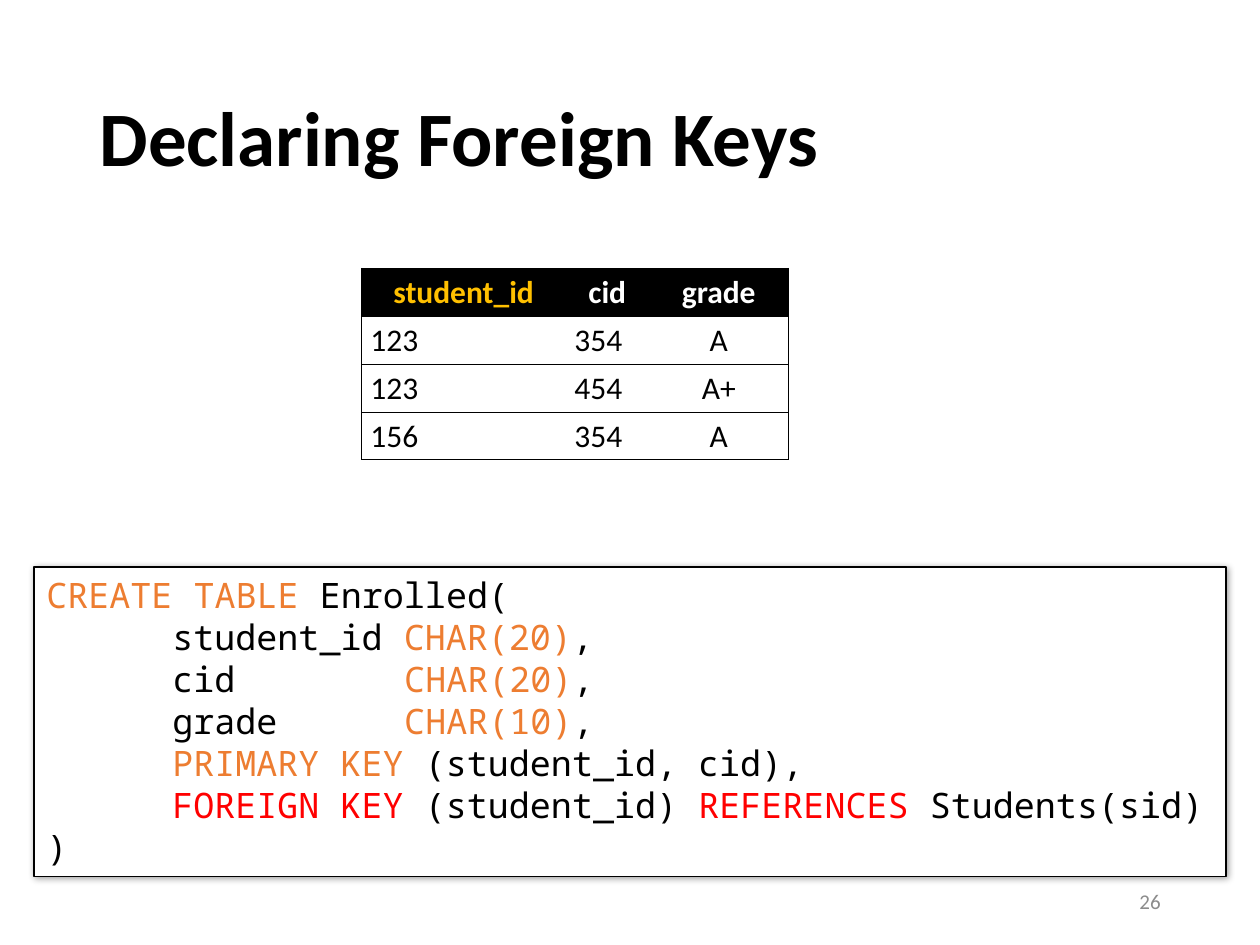
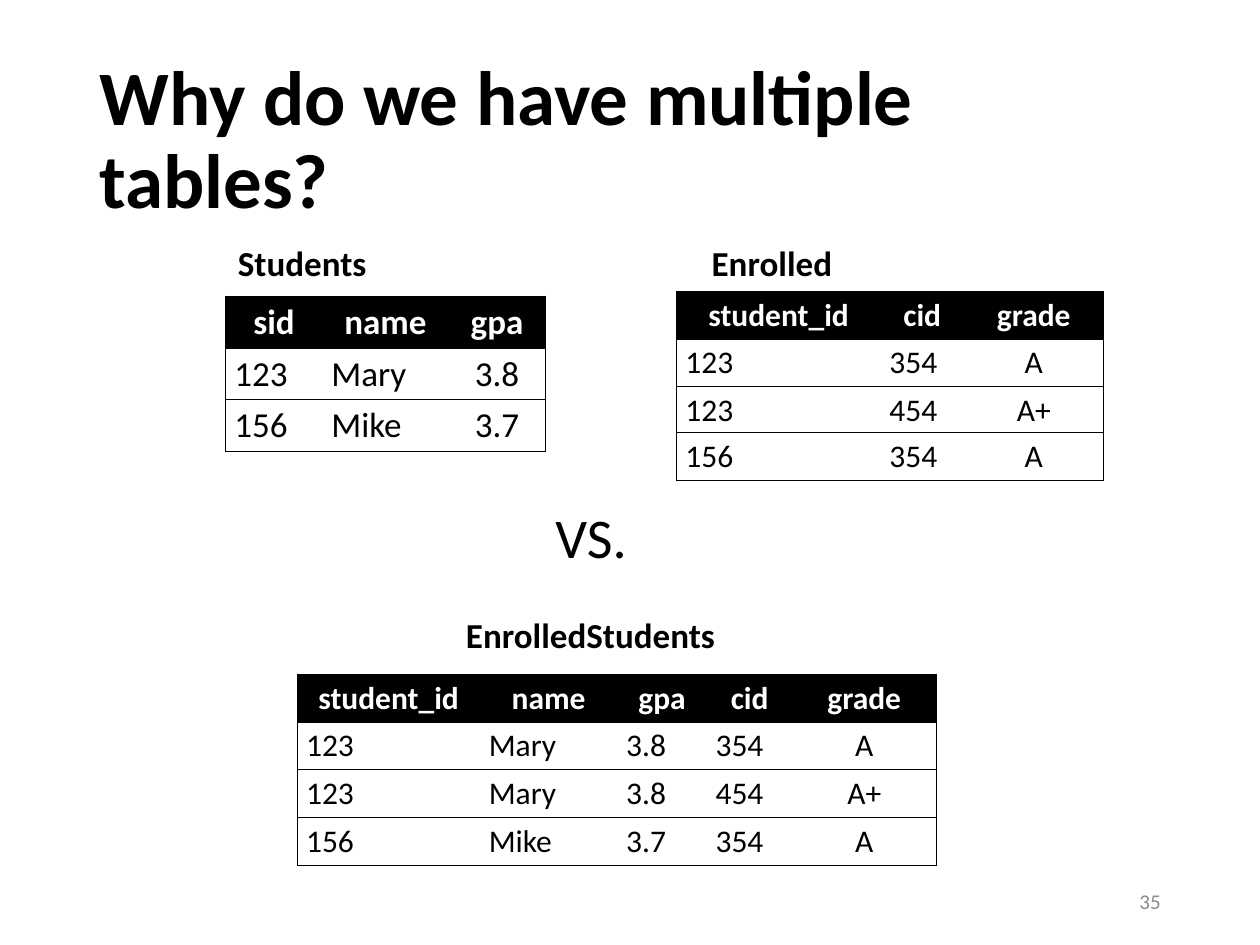
from dataclasses import dataclass

from lxml.etree import SubElement
from pptx import Presentation
from pptx.dml.color import RGBColor
from pptx.enum.shapes import MSO_SHAPE
from pptx.enum.text import MSO_ANCHOR, MSO_AUTO_SIZE, PP_ALIGN
from pptx.oxml import parse_xml
from pptx.oxml.ns import nsdecls, qn
from pptx.util import Inches, Pt


@dataclass(frozen=True)
class Theme:
    black: str = "000000"
    white: str = "FFFFFF"
    gray: str = "8C8C8C"
    gold: str = "FFC000"
    orange: str = "ED7D31"
    red: str = "FF0000"
    font: str = "Calibri"
    mono: str = "Noto Sans Mono"
    title: int = 44
    versus: int = 32
    label: int = 20
    cell: int = 18
    page: int = 12
    rule: float = 0.5


LOOK = Theme()
WIDE = (1.62, 0.66, 1.11)
NARROW = (0.77, 1, 0.77)
JOINED = (1.45, 1.09, 0.71, 0.68, 1.14)
ENROLLED = (
    ("student_id", "cid", "grade"),
    ("123", "354", "A"),
    ("123", "454", "A+"),
    ("156", "354", "A"),
)
STUDENTS = (("sid", "name", "gpa"), ("123", "Mary", "3.8"), ("156", "Mike", "3.7"))
BOTH = (
    ("student_id", "name", "gpa", "cid", "grade"),
    ("123", "Mary", "3.8", "354", "A"),
    ("123", "Mary", "3.8", "454", "A+"),
    ("156", "Mike", "3.7", "354", "A"),
)
CODE = (
    (("CREATE TABLE ", LOOK.orange), ("Enrolled(", LOOK.black)),
    (("\tstudent_id ", LOOK.black), ("CHAR(20)", LOOK.orange), (",", LOOK.black)),
    (("\tcid\t", LOOK.black), ("CHAR(20)", LOOK.orange), (",", LOOK.black)),
    (("\tgrade\t", LOOK.black), ("CHAR(10)", LOOK.orange), (",", LOOK.black)),
    (("\tPRIMARY KEY ", LOOK.orange), ("(student_id, cid),", LOOK.black)),
    (
        ("\tFOREIGN KEY ", LOOK.red),
        ("(student_id) ", LOOK.black),
        ("REFERENCES ", LOOK.red),
        ("Students(sid)", LOOK.black),
    ),
    ((")", LOOK.black),),
)


def put(item, **vals):
    for name, val in vals.items():
        setattr(item, name, val)


def box(left, top, width, height):
    return [Inches(n) for n in (left, top, width, height)]


def write(para, text, size, tint=LOOK.black, bold=False, font=LOOK.font):
    run = para.add_run()
    run.text = text
    put(run.font, size=Pt(size), bold=bold, name=font)
    run.font.color.rgb = RGBColor.from_string(tint)


def add_title(slide, text):
    title = slide.shapes.title
    spot = zip(("left", "top", "width", "height"), box(0.69, 0.4, 8.62, 1.45))
    put(title, **dict(spot))
    frame = title.text_frame
    put(frame, vertical_anchor=MSO_ANCHOR.MIDDLE, word_wrap=True,
        auto_size=MSO_AUTO_SIZE.NONE)
    para = frame.paragraphs[0]
    put(para, alignment=PP_ALIGN.LEFT, line_spacing=0.9)
    write(para, text, LOOK.title, bold=True)


def add_label(slide, text, spot, size=LOOK.label, bold=True):
    frame = slide.shapes.add_textbox(*box(*spot)).text_frame
    put(frame, word_wrap=False, auto_size=MSO_AUTO_SIZE.SHAPE_TO_FIT_TEXT)
    write(frame.paragraphs[0], text, size, bold=bold)


def add_page(slide, num):
    frame = slide.shapes.add_textbox(*box(7.06, 6.95, 2.25, 0.4)).text_frame
    put(frame, word_wrap=True, vertical_anchor=MSO_ANCHOR.MIDDLE)
    para = frame.paragraphs[0]
    para.alignment = PP_ALIGN.RIGHT
    write(para, str(num), LOOK.page, LOOK.gray)


def add_edges(cell, first, last):
    props = cell._tc.get_or_add_tcPr()
    for side, shown in (("L", first), ("R", last), ("T", True), ("B", True)):
        edge = SubElement(props, qn(f"a:ln{side}"), w=str(Pt(LOOK.rule)))
        if shown:
            fill = SubElement(edge, qn("a:solidFill"))
            SubElement(fill, qn("a:srgbClr"), val=LOOK.black)
        else:
            SubElement(edge, qn("a:noFill"))


def add_grid(slide, rows, cols, left, top, tall=0.37, size=LOOK.cell,
             head=True, key=LOOK.white):
    spot = box(left, top, sum(cols), tall * len(rows))
    grid = slide.shapes.add_table(len(rows), len(cols), *spot).table
    put(grid, first_row=head, horz_banding=False)
    for col, width in zip(grid.columns, cols):
        col.width = Inches(width)
    for y, row in enumerate(rows):
        grid.rows[y].height = Inches(tall)
        top_row = head and y == 0
        for x, text in enumerate(row):
            cell = grid.cell(y, x)
            last = x == len(cols) - 1
            put(cell, margin_left=Inches(0.07), margin_right=Inches(0.07),
                margin_top=Inches(0.04), margin_bottom=Inches(0.04))
            add_edges(cell, x == 0, last)
            cell.fill.solid()
            back = LOOK.black if top_row else LOOK.white
            cell.fill.fore_color.rgb = RGBColor.from_string(back)
            para = cell.text_frame.paragraphs[0]
            para.alignment = PP_ALIGN.CENTER if top_row or last else PP_ALIGN.LEFT
            tint = LOOK.black
            if top_row:
                tint = key if x == 0 else LOOK.white
            write(para, text, size, tint, top_row)


def add_shade(shape):
    shape._element.spPr.append(parse_xml(
        f'<a:effectLst {nsdecls("a")}><a:outerShdw blurRad="{Pt(4)}" '
        f'dist="{Pt(1)}" dir="2700000" algn="tl" rotWithShape="0">'
        f'<a:srgbClr val="{LOOK.black}"><a:alpha val="40000"/></a:srgbClr>'
        '</a:outerShdw></a:effectLst>'))


def add_code(slide, lines):
    shape = slide.shapes.add_shape(MSO_SHAPE.RECTANGLE, *box(0.27, 4.5, 9.46, 2.46))
    shape.fill.solid()
    shape.fill.fore_color.rgb = RGBColor.from_string(LOOK.white)
    shape.line.color.rgb = RGBColor.from_string(LOOK.black)
    shape.line.width = Pt(0.75)
    add_shade(shape)
    frame = shape.text_frame
    put(frame, word_wrap=False, vertical_anchor=MSO_ANCHOR.TOP,
        auto_size=MSO_AUTO_SIZE.SHAPE_TO_FIT_TEXT)
    for num, line in enumerate(lines):
        para = frame.add_paragraph() if num else frame.paragraphs[0]
        para.alignment = PP_ALIGN.LEFT
        tabs = SubElement(para._p.get_or_add_pPr(), qn("a:tabLst"))
        for stop in (1, 2.84):
            SubElement(tabs, qn("a:tab"), pos=str(Inches(stop)), algn="l")
        for text, tint in line:
            write(para, text, LOOK.label, tint, font=LOOK.mono)


def add_slide(deck, title, num):
    slide = deck.slides.add_slide(deck.slide_layouts[5])
    add_title(slide, title)
    add_page(slide, num)
    return slide


def add_keys(deck):
    slide = add_slide(deck, "Declaring Foreign Keys", 26)
    add_code(slide, CODE)
    add_grid(slide, ENROLLED, WIDE, 2.87, 2.13, key=LOOK.gold)


def add_why(deck):
    slide = add_slide(deck, "Why do we have multiple tables?", 35)
    add_label(slide, "Students", (1.79, 1.87, 1.23, 0.44))
    add_label(slide, "Enrolled", (5.55, 1.87, 1.17, 0.44))
    pairs = (
        (STUDENTS, NARROW, 1.79, 2.35, 3.17, 0.41, LOOK.label),
        (ENROLLED, WIDE, 5.37, 2.31, 3.43, 0.37, LOOK.cell),
    )
    for rows, cols, left, top, low, tall, size in pairs:
        add_grid(slide, rows[:-1], cols, left, top, tall, size)
        add_grid(slide, rows[-1:], cols, left, low, tall, size, head=False)
    add_label(slide, "VS.", (4.31, 3.94, 0.77, 0.64), LOOK.versus, False)
    add_label(slide, "EnrolledStudents", (3.6, 4.82, 2.2, 0.44))
    add_grid(slide, BOTH, JOINED, 2.36, 5.35)


def main():
    deck = Presentation()
    put(deck, slide_width=Inches(10), slide_height=Inches(7.5))
    add_keys(deck)
    add_why(deck)
    deck.save("out.pptx")


main()
